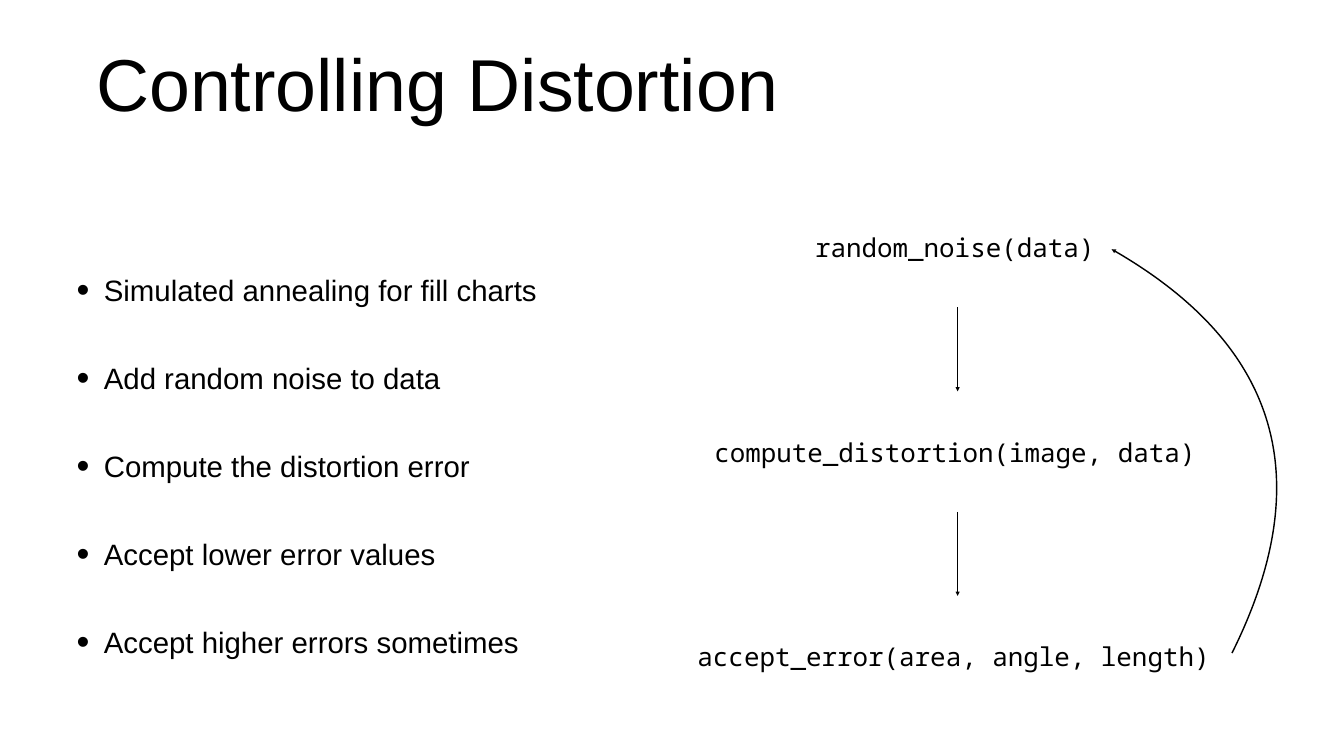
from pptx import Presentation
from pptx.dml.color import RGBColor
from pptx.enum.shapes import MSO_CONNECTOR as Connector
from pptx.enum.text import MSO_ANCHOR as Anchor, MSO_AUTO_SIZE as AutoSize
from pptx.oxml.ns import qn
from pptx.util import Pt
from lxml.etree import SubElement

BLACK = "000000"
SANS, MONO = "Arial", "Noto Sans Mono"
INSET = 4.32

STEPS = [
    ("random_noise(data)", 415),
    ("compute_distortion(image, data)", 703),
    ("accept_error(area, angle, length)", 751),
]
STEP_CENTER, FIRST_STEP_MIDDLE, STEP_PITCH, STEP_HEIGHT = 1367.6, 353, 292.3, 52
ARROW_START, ARROW_END = 86, 206  # below the middle of the step above

POINTS = [
    "Simulated annealing for fill charts",
    "Add random noise to data",
    "Compute the distortion error",
    "Accept lower error values",
    "Accept higher errors sometimes",
]


def color(hex_code):
    return RGBColor.from_string(hex_code)


def style_font(paragraph, name, size):
    paragraph.font.name = name
    paragraph.font.size = Pt(size)
    paragraph.font.color.rgb = color(BLACK)


def add_text(slide, box, lines, font, size, grow=True):
    """Add a text box with one paragraph per line and return its paragraphs."""
    frame = slide.shapes.add_textbox(*map(Pt, box)).text_frame
    frame.text = "\n".join(lines)
    frame.word_wrap = True
    frame.auto_size = AutoSize.SHAPE_TO_FIT_TEXT if grow else AutoSize.NONE
    frame.vertical_anchor = Anchor.MIDDLE
    frame.margin_left = frame.margin_right = Pt(INSET)
    frame.margin_top = frame.margin_bottom = Pt(INSET)
    for paragraph in frame.paragraphs:
        style_font(paragraph, font, size)
    return frame.paragraphs


def add_bullets(slide, box, lines):
    for paragraph in add_text(slide, box, lines, SANS, 42):
        paragraph.line_spacing = 2.5
        props = paragraph._p.get_or_add_pPr()
        props.set("marL", str(Pt(39)))
        props.set("indent", str(Pt(-39)))
        # Bullet elements stand before the default run properties
        run_props = props.find(qn("a:defRPr"))
        for tag, key, value in (
            ("a:buSzPct", "val", "125000"),
            ("a:buFont", "typeface", SANS),
            ("a:buChar", "char", "•"),
        ):
            bullet = SubElement(props, qn(tag))
            bullet.set(key, value)
            run_props.addprevious(bullet)


def style_line(shape, arrow_tag):
    shape.line.color.rgb = color(BLACK)
    shape.line.width = Pt(2)
    SubElement(shape.line._get_or_add_ln(), qn(arrow_tag)).set("type", "triangle")


def add_down_arrow(slide, x, top, bottom):
    arrow = slide.shapes.add_connector(
        Connector.STRAIGHT, Pt(x), Pt(top), Pt(x), Pt(bottom))
    style_line(arrow, "a:tailEnd")
    SubElement(arrow._element.spPr, qn("a:effectLst"))


def add_curved_arrow(slide, start, controls, end, right):
    """Add a cubic curve, with its arrowhead at the start, reaching to right."""
    builder = slide.shapes.build_freeform(Pt(start[0]), Pt(start[1]))
    middle = (Pt(right), Pt((start[1] + end[1]) / 2))
    builder.add_line_segments([middle, (Pt(end[0]), Pt(end[1]))], close=False)
    curve = builder.convert_to_shape()
    curve.shadow.inherit = False
    curve.fill.background()
    style_line(curve, "a:headEnd")

    # Swap the straight segments for one Bézier segment
    outline = curve._element.spPr.find(".//" + qn("a:path"))
    for segment in outline.findall(qn("a:lnTo")):
        outline.remove(segment)
    bezier = SubElement(outline, qn("a:cubicBezTo"))
    for x, y in (*controls, end):
        point = SubElement(bezier, qn("a:pt"))
        point.set("x", str(Pt(x) - curve.left))
        point.set("y", str(Pt(y) - curve.top))


def main():
    prs = Presentation()
    prs.slide_width, prs.slide_height = Pt(1920), Pt(1080)
    slide = prs.slides.add_slide(prs.slide_layouts[6])

    # Title
    add_text(slide, (133, 28, 1654, 180), ["Controlling Distortion"],
             SANS, 105, grow=False)

    # Annealing steps, with arrows down to the next step
    for index, (call, width) in enumerate(STEPS):
        middle = FIRST_STEP_MIDDLE + index * STEP_PITCH
        add_text(slide, (STEP_CENTER - width / 2, middle - STEP_HEIGHT / 2,
                         width, STEP_HEIGHT), [call], MONO, 37)
        if index < len(STEPS) - 1:
            add_down_arrow(slide, 1368, middle + ARROW_START, middle + ARROW_END)

    # Loop back from the last step to the first
    add_curved_arrow(slide, (1588, 356), [(1826, 492), (1884, 684)],
                     (1760, 933), right=1823)

    # Explanation
    add_bullets(slide, (105, 348.5, 832, 558), POINTS)

    prs.save("out.pptx")


if __name__ == "__main__":
    main()
